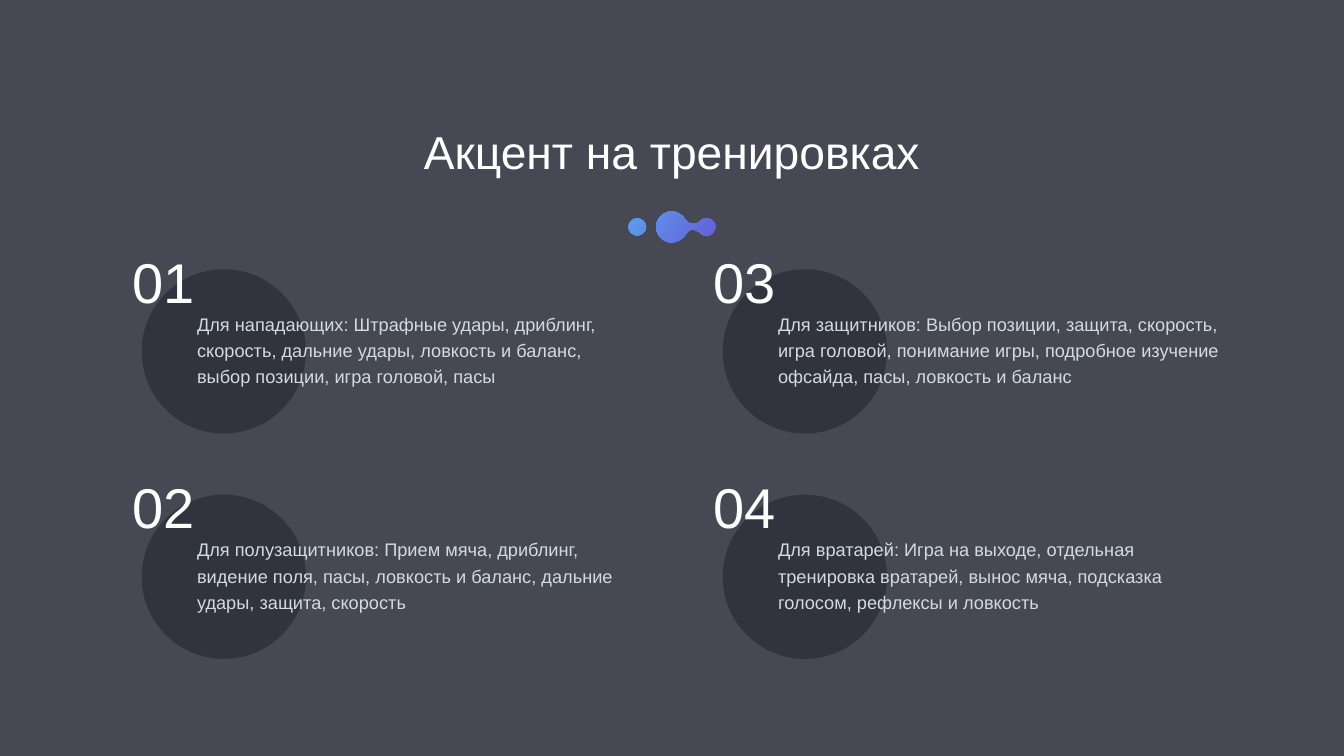
from lxml.etree import SubElement
from pptx import Presentation
from pptx.dml.color import RGBColor
from pptx.enum.shapes import MSO_SHAPE as Shape
from pptx.enum.text import MSO_ANCHOR as Anchor, MSO_AUTO_SIZE as AutoSize, PP_ALIGN as Align
from pptx.oxml.ns import qn
from pptx.util import Cm, Pt

COLOURS = {
    "background": "464853",
    "circle": "31333F",
    "white": "FFFFFF",
    "body": "D2DBE4",
    "gradient_start": "5E9EEE",
    "gradient_end": "635ED6",
}
FONT = "Arial"
TITLE = "Акцент на тренировках"
ITEMS = [
    "Для нападающих: Штрафные удары, дриблинг, скорость, дальние удары, "
    "ловкость и баланс, выбор позиции, игра головой, пасы",
    "Для полузащитников: Прием мяча, дриблинг, видение поля, пасы, "
    "ловкость и баланс, дальние удары, защита, скорость",
    "Для защитников: Выбор позиции, защита, скорость, игра головой, "
    "понимание игры, подробное изучение офсайда, пасы, ловкость и баланс",
    "Для вратарей: Игра на выходе, отдельная тренировка вратарей, "
    "вынос мяча, подсказка голосом, рефлексы и ловкость",
]
ROWS = 2
ITEM_LEFT, ITEM_TOP = 6.53, 12.29
COLUMN_STEP, ROW_STEP = 29.28, 11.36

ORNAMENT_SIZE = (173, 62)
DROP = [
    [(87, 0)],
    [(70, 0), (55, 14), (55, 31)],
    [(55, 48), (69, 61), (85, 62)],
    [(97, 62), (108, 56), (114, 46)],
    [(116, 41), (120, 38), (124, 37)],
    [(131, 36), (138, 38), (142, 42)],
    [(153, 55), (172, 47), (173, 31)],
    [(173, 15), (152, 8), (142, 20)],
    [(138, 24), (133, 26), (128, 25)],
    [(122, 25), (116, 22), (113, 16)],
    [(108, 7), (98, 1), (87, 0)],
]
DOT = [
    [(17, 14)],
    [(13, 14), (9, 15), (5, 19)],
    [(-2, 26), (-2, 36), (5, 43)],
    [(12, 50), (23, 50), (30, 43)],
    [(37, 36), (37, 26), (30, 19)],
    [(26, 15), (22, 14), (17, 14)],
]


def colour(name):
    return RGBColor.from_string(COLOURS[name])


def add_text(page, left, top, width, height, text, size, ink,
             anchor=Anchor.MIDDLE, align=Align.LEFT, line_spacing=None):
    box = page.shapes.add_textbox(Cm(left), Cm(top), Cm(width), Cm(height))
    frame = box.text_frame
    frame.word_wrap = True
    frame.auto_size = AutoSize.SHAPE_TO_FIT_TEXT
    frame.vertical_anchor = anchor
    frame.margin_left = frame.margin_right = Cm(0.16)
    frame.margin_top = frame.margin_bottom = Cm(0.16)
    para = frame.paragraphs[0]
    para.alignment = align
    para.line_spacing = line_spacing
    span = para.add_run()
    span.text = text
    span.font.name = FONT
    span.font.size = Pt(size)
    span.font.color.rgb = colour(ink)


def add_contour(outline, segments):
    for points in segments:
        tag = "a:moveTo" if len(points) == 1 else "a:cubicBezTo"
        command = SubElement(outline, qn(tag))
        for x, y in points:
            SubElement(command, qn("a:pt"), x=str(x), y=str(y))
    SubElement(outline, qn("a:close"))


def add_ornament(page, left, top, width):
    builder = page.shapes.build_freeform(0, 0, scale=Cm(width) / ORNAMENT_SIZE[0])
    builder.add_line_segments([ORNAMENT_SIZE], close=True)
    ornament = builder.convert_to_shape(Cm(left), Cm(top))
    outline = next(ornament.element.iter(qn("a:path")))
    for command in list(outline):
        outline.remove(command)
    for segments in (DROP, DOT):
        add_contour(outline, segments)
    ornament.shadow.inherit = False
    ornament.line.fill.background()
    ornament.fill.gradient()
    ornament.fill.gradient_angle = 326
    for stop, name in zip(ornament.fill.gradient_stops, ("gradient_start", "gradient_end")):
        stop.color.rgb = colour(name)


def add_header(page, left, top, width):
    add_text(page, left, top, width, 3.1, TITLE, 66, "white", align=Align.CENTER)
    ornament_width = 4.38
    add_ornament(page, left + (width - ornament_width) / 2, top + 4.6, ornament_width)


def add_item(page, left, top, number, text):
    circle = page.shapes.add_shape(Shape.OVAL, Cm(left + 0.61), Cm(top + 1.28), Cm(8.28), Cm(8.28))
    circle.shadow.inherit = False
    circle.fill.solid()
    circle.fill.fore_color.rgb = colour("circle")
    circle.line.fill.background()
    add_text(page, left, top, 6.02, 3.71, f"{number:02d}", 80, "white")
    add_text(page, left + 3.24, top + 3.12, 22.58, 4.29, text, 26, "body",
             anchor=Anchor.TOP, line_spacing=1.2)


def main():
    deck = Presentation()
    deck.slide_width, deck.slide_height = Cm(67.73), Cm(38.1)
    page = deck.slides.add_slide(deck.slide_layouts[6])
    page.background.fill.solid()
    page.background.fill.fore_color.rgb = colour("background")
    add_header(page, 21.2, 6.05, 25.32)
    for index, text in enumerate(ITEMS):
        column, row = divmod(index, ROWS)
        add_item(page, ITEM_LEFT + column * COLUMN_STEP, ITEM_TOP + row * ROW_STEP,
                 index + 1, text)
    deck.save("out.pptx")


if __name__ == "__main__":
    main()
